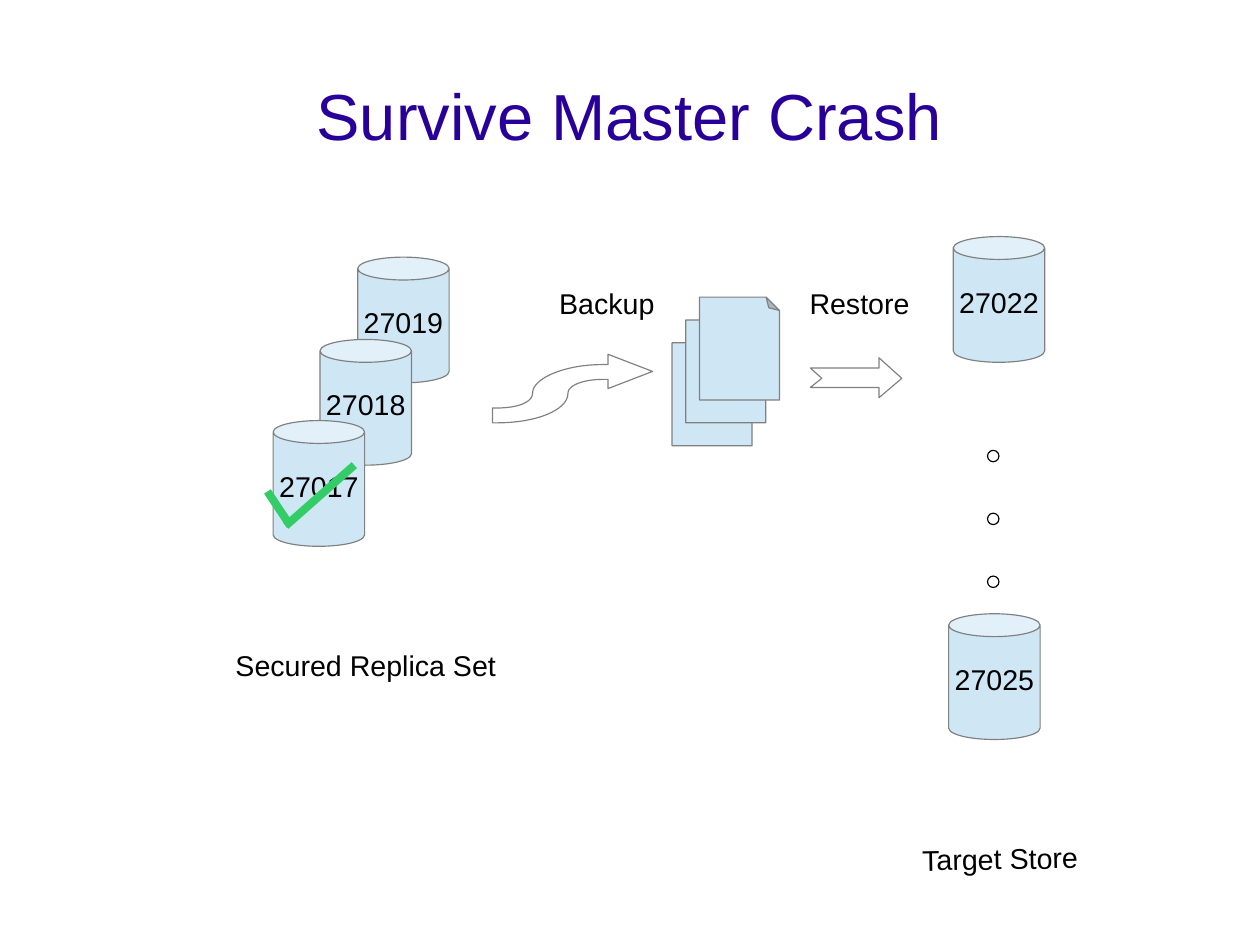
from lxml import etree
from pptx import Presentation
from pptx.dml.color import RGBColor
from pptx.enum.shapes import MSO_CONNECTOR, MSO_SHAPE
from pptx.enum.text import MSO_ANCHOR, PP_ALIGN
from pptx.oxml.ns import qn
from pptx.util import Cm, Pt

PX = 9144
CAN = MSO_SHAPE.CAN
PAGE = MSO_SHAPE.FOLDED_CORNER
DOT = MSO_SHAPE.OVAL
LINE = MSO_CONNECTOR.STRAIGHT
MIDDLE = MSO_ANCHOR.MIDDLE
CENTER = PP_ALIGN.CENTER
BLUE, GRAY, BLACK = "CFE7F5", "808080", "000000"
GREEN, VIOLET = "33CC66", "280099"
hue = RGBColor.from_string


def paint(shape, fill, edge):
    shape.shadow.inherit = False
    if fill:
        shape.fill.solid()
        shape.fill.fore_color.rgb = hue(fill)
    else:
        shape.fill.background()
    shape.line.color.rgb = hue(edge)
    shape.line.width = Pt(0.75)


def write(shape, text, size=18, color=BLACK, wrap=True):
    frame = shape.text_frame
    frame.word_wrap = wrap
    frame.vertical_anchor = MIDDLE
    frame.margin_top, frame.margin_bottom = 2 * PX, 5 * PX
    para = frame.paragraphs[0]
    para.text = text
    para.alignment = CENTER
    para.line_spacing = 0.93
    para.font.name = "Arial"
    para.font.size = Pt(size)
    para.font.color.rgb = hue(color)


deck = Presentation()
deck.slide_width, deck.slide_height = Cm(28), Cm(21)
slide = deck.slides.add_slide(deck.slide_layouts[6])
shapes = slide.shapes

title = shapes.add_textbox(55 * PX, 33 * PX, 992 * PX, 138 * PX)
write(title, "Survive Master Crash", 41, VIOLET)
frame = title.text_frame
frame.margin_left = frame.margin_right = frame.margin_bottom = 0
frame.margin_top = 4 * PX

for port, x, y in [
    ("27019", 313, 225),
    ("27018", 280, 297),
    ("27017", 239, 368),
    ("27022", 834, 207),
    ("27025", 830, 537),
]:
    can = shapes.add_shape(CAN, x * PX, y * PX, 80 * PX, 110 * PX)
    paint(can, BLUE, GRAY)
    write(can, port, wrap=False)

for row in range(3):
    dot = shapes.add_shape(DOT, 864 * PX, (394 + 55 * row) * PX, 10 * PX, 10 * PX)
    paint(dot, None, BLACK)

for step in range(3):
    x, y = 588 + 12 * step, 300 - 20 * step
    page = shapes.add_shape(PAGE, x * PX, y * PX, 70 * PX, 90 * PX)
    page._element.spPr.xfrm.set("flipV", "1")
    paint(page, BLUE, GRAY)

for text, x, y, w, turn in [
    ("Target Store", 780, 729, 190, 359),
    ("Secured Replica Set", 180, 560, 280, 0),
    ("Backup", 461, 243, 140, 0),
    ("Restore", 682, 243, 140, 0),
]:
    label = shapes.add_textbox(x * PX, y * PX, w * PX, 50 * PX)
    label.rotation = turn
    write(label, text)

wave = []
for curve in [
    [(527, 319), (494, 319), (466, 331), (466, 344)],
    [(466, 344), (466, 352), (453, 357), (435, 357)],
    [(431, 357)],
    [(431, 370)],
    [(435, 370), (469, 370), (497, 359), (497, 344)],
    [(497, 344), (497, 337), (511, 332), (527, 332)],
    [(532, 332)],
    [(532, 340)],
    [(571, 325)],
    [(532, 310)],
    [(532, 319)],
]:
    if len(curve) == 1:
        wave += curve
        continue
    for i in range(17):
        t = i / 16
        u = 1 - t
        parts = (u**3, 3 * u * u * t, 3 * u * t * t, t**3)
        wave.append([sum(k * v for k, v in zip(parts, axis)) for axis in zip(*curve)])

notch = [(709, 322), (769, 322), (769, 313), (789, 331),
         (769, 348), (769, 339), (709, 339), (719, 331)]

for points in (wave, notch):
    spots = [(x * PX, y * PX) for x, y in points]
    pen = shapes.build_freeform(*spots[0])
    pen.add_line_segments(spots[1:], close=True)
    paint(pen.convert_to_shape(), None, GRAY)

for ends in [(234, 430, 254, 460), (310, 407, 250, 460)]:
    tick = shapes.add_connector(LINE, *[v * PX for v in ends])
    tick.line.color.rgb = hue(GREEN)
    tick.line.width = Pt(5.05)
    etree.SubElement(tick._element.spPr, qn("a:effectLst"))

deck.save("out.pptx")
